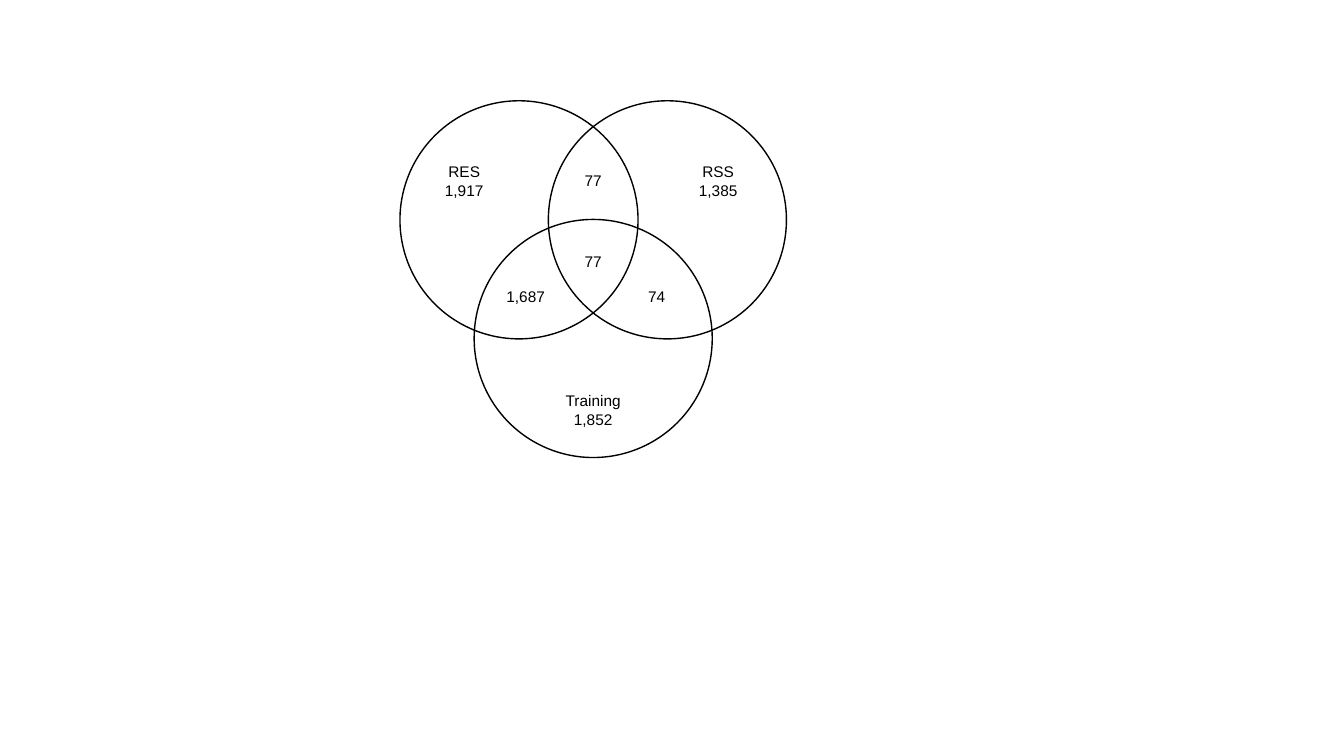
import pptx
import pptx.util
import pptx.dml.color
import pptx.enum.shapes
import pptx.enum.text
from dataclasses import dataclass

Cm, Pt = pptx.util.Cm, pptx.util.Pt


@dataclass(frozen=True)
class Theme:
    """Colours, font and sizes of the slide."""
    ink: pptx.dml.color.RGBColor = pptx.dml.color.RGBColor(0, 0, 0)
    font: str = "Arial"
    size: float = 11
    line: float = 1


THEME = Theme()

# Centres in cm: x from the axis of the diagram, y from the slide top
AXIS = 14.95
WIDE = 6
RINGS = [(-1.87, 5.54), (0, 8.53), (1.87, 5.54)]

# Lines of text, centre x, centre y, box width
SETS = [
    (["RES", "1,917"], -3.25, 4.56, 1.5),
    (["RSS", "1,385"], 3.15, 4.56, 1.5),
    (["Training", "1,852"], 0, 10.33, 1.93),
]
SHARED = [
    (["77"], 0, 4.56, 0.94),
    (["77"], 0, 6.59, 0.94),
    (["74"], 1.6, 7.48, 0.94),
    (["1,687"], -1.7, 7.48, 1.5),
]
HIGH = {1: 0.74, 2: 1.19}  # box height by number of lines


def place(x, y, wide, high):
    """Return the box centred on a point of the diagram."""
    return Cm(AXIS + x - wide / 2), Cm(y - high / 2), Cm(wide), Cm(high)


def ring(group, x, y):
    """Draw one set as an open circle."""
    oval = group.shapes.add_shape(
        pptx.enum.shapes.MSO_SHAPE.OVAL, *place(x, y, WIDE, WIDE))
    oval.shadow.inherit = False
    oval.fill.background()
    oval.line.color.rgb = THEME.ink
    oval.line.width = Pt(THEME.line)


def label(slide, lines, x, y, wide, size=THEME.size, color=THEME.ink,
          align=pptx.enum.text.PP_ALIGN.CENTER):
    """Write lines of text centred on a point."""
    box = slide.shapes.add_textbox(*place(x, y, wide, HIGH[len(lines)]))
    frame = box.text_frame
    frame.text = "\n".join(lines)
    frame.word_wrap = False
    frame.auto_size = pptx.enum.text.MSO_AUTO_SIZE.SHAPE_TO_FIT_TEXT
    for para in frame.paragraphs:
        para.alignment = align
        for run in para.runs:
            run.font.name = THEME.font
            run.font.size = Pt(size)
            run.font.color.rgb = color


deck = pptx.Presentation()
deck.slide_width, deck.slide_height = Cm(33.87), Cm(19.05)
slide = deck.slides.add_slide(deck.slide_layouts[6])

venn = slide.shapes.add_group_shape()
for spot in RINGS:
    ring(venn, *spot)
for item in SETS + SHARED:
    label(slide, *item)

deck.save("out.pptx")
